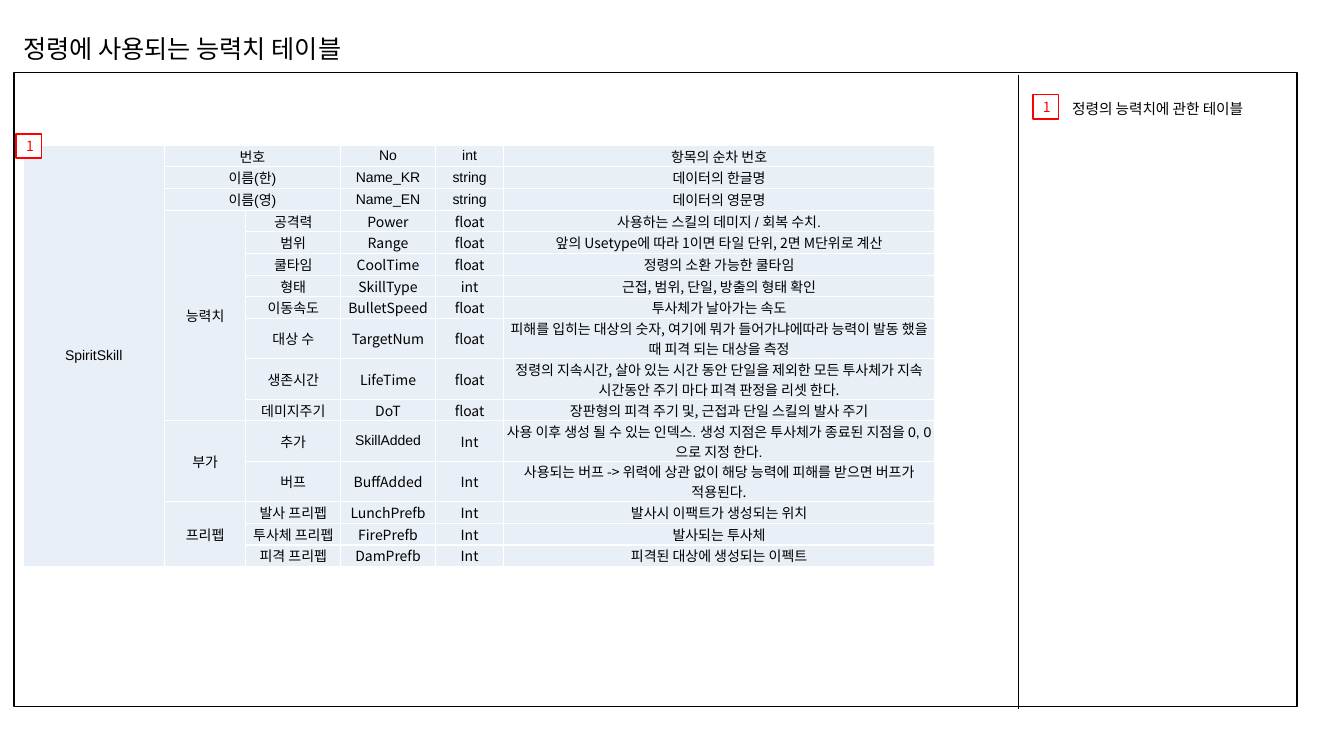
import dataclasses
import pptx
import pptx.dml.color
import pptx.enum.shapes
import pptx.enum.text
import pptx.oxml
import pptx.oxml.ns
import pptx.util
from lxml import etree

PX = 4572  # EMU in one px, 200 px to the inch


@dataclasses.dataclass
class Theme:
    ink: str = "000000"
    paper: str = "FFFFFF"
    accent: str = "FF0000"
    cell: str = "E9EFF7"
    sans: str = "Arial"
    korean: str = "Noto Sans CJK KR"
    title: float = 18
    note: float = 10.5
    body: float = 10
    line: float = 1
    thin: float = 0.75


def rgb(value):
    return pptx.dml.color.RGBColor.from_string(value)


class Deck:
    def __init__(self, theme, width, height):
        self.theme = theme
        self.prs = pptx.Presentation()
        self.prs.slide_width, self.prs.slide_height = width * PX, height * PX
        self.s = self.prs.slides.add_slide(self.prs.slide_layouts[6])

    def run(self, p, text, size, color, font):
        r = p.add_run()
        r.text = text
        r.font.size = pptx.util.Pt(size)
        r.font.color.rgb = rgb(color)
        r.font.name = font
        ea = etree.SubElement(r._r.get_or_add_rPr(), pptx.oxml.ns.qn("a:ea"))
        ea.set("typeface", self.theme.korean)

    def text(self, x, y, w, h, text, size):
        tf = self.s.shapes.add_textbox(x * PX, y * PX, w * PX, h * PX).text_frame
        tf.word_wrap = True
        tf.auto_size = pptx.enum.text.MSO_AUTO_SIZE.SHAPE_TO_FIT_TEXT
        self.run(tf.paragraphs[0], text, size, self.theme.ink, self.theme.korean)

    def box(self, x, y, w, h, color, fill=None):
        sp = self.s.shapes.add_shape(pptx.enum.shapes.MSO_SHAPE.RECTANGLE,
                                     x * PX, y * PX, w * PX, h * PX)
        sp.shadow.inherit = False
        sp.line.color.rgb = rgb(color)
        sp.line.width = pptx.util.Pt(self.theme.line)
        if fill:
            sp.fill.solid()
            sp.fill.fore_color.rgb = rgb(fill)
        else:
            sp.fill.background()
        return sp

    def marker(self, x, y, label):
        sp = self.box(x, y, 50, 48, self.theme.accent, self.theme.paper)
        tf = sp.text_frame
        tf.vertical_anchor = pptx.enum.text.MSO_ANCHOR.MIDDLE
        p = tf.paragraphs[0]
        p.alignment = pptx.enum.text.PP_ALIGN.CENTER
        self.run(p, label, self.theme.body, self.theme.accent, self.theme.korean)

    def line(self, x1, y1, x2, y2):
        c = self.s.shapes.add_connector(pptx.enum.shapes.MSO_CONNECTOR.STRAIGHT,
                                        x1 * PX, y1 * PX, x2 * PX, y2 * PX)
        c.line.color.rgb = rgb(self.theme.ink)
        c.line.width = pptx.util.Pt(self.theme.thin)
        etree.SubElement(c._element.spPr, pptx.oxml.ns.qn("a:effectLst"))

    def style_cell(self, cell):
        cell.margin_left = cell.margin_right = cell.margin_top = cell.margin_bottom = 0
        cell.vertical_anchor = pptx.enum.text.MSO_ANCHOR.MIDDLE
        tcPr = cell._tc.get_or_add_tcPr()
        for side in ("lnL", "lnR", "lnT", "lnB"):
            tcPr.append(pptx.oxml.parse_xml(
                f'<a:{side} {pptx.oxml.ns.nsdecls("a")} w="{int(self.theme.line * 12700)}">'
                f'<a:solidFill><a:srgbClr val="{self.theme.paper}"/></a:solidFill></a:{side}>'))
        cell.fill.solid()
        cell.fill.fore_color.rgb = rgb(self.theme.cell)

    def table(self, x, y, widths, row_height, rows, merges, is_sans):
        frame = self.s.shapes.add_table(len(rows), len(widths), x * PX, y * PX,
                                        sum(widths) * PX, row_height * len(rows) * PX)
        tbl = frame.table
        tbl.first_row = tbl.horz_banding = False
        for col, width in zip(tbl.columns, widths):
            col.width = width * PX
        for i, row in enumerate(rows):
            tbl.rows[i].height = row_height * PX
            for j, text in enumerate(row):
                cell = tbl.cell(i, j)
                self.style_cell(cell)
                p = cell.text_frame.paragraphs[0]
                p.alignment = pptx.enum.text.PP_ALIGN.CENTER
                font = self.theme.sans if is_sans(i, j) else self.theme.korean
                if text:
                    self.run(p, text, self.theme.body, self.theme.ink, font)
                else:
                    p.font.size = pptx.util.Pt(self.theme.body)
        for top, left, bottom, right in merges:
            tbl.cell(top, left).merge(tbl.cell(bottom, right))


# Table content: general fields, then groups of fields
GENERAL = [
    ("번호", "No", "int", "항목의 순차 번호"),
    ("이름(한)", "Name_KR", "string", "데이터의 한글명"),
    ("이름(영)", "Name_EN", "string", "데이터의 영문명"),
]
GROUPS = {
    "능력치": [
        ("공격력", "Power", "float", "사용하는 스킬의 데미지 / 회복 수치."),
        ("범위", "Range", "float", "앞의 Usetype에 따라 1이면 타일 단위, 2면 M단위로 계산"),
        ("쿨타임", "CoolTime", "float", "정령의 소환 가능한 쿨타임"),
        ("형태", "SkillType", "int", "근접, 범위, 단일, 방출의 형태 확인"),
        ("이동속도", "BulletSpeed", "float", "투사체가 날아가는 속도"),
        ("대상 수", "TargetNum", "float",
         "피해를 입히는 대상의 숫자, 여기에 뭐가 들어가냐에따라 능력이 발동 했을 때 피격 되는 대상을 측정"),
        ("생존시간", "LifeTime", "float",
         "정령의 지속시간, 살아 있는 시간 동안 단일을 제외한 모든 투사체가 지속 시간동안 주기 마다 피격 판정을 리셋 한다."),
        ("데미지주기", "DoT", "float", "장판형의 피격 주기 및, 근접과 단일 스킬의 발사 주기"),
    ],
    "부가": [
        ("추가", "SkillAdded", "Int",
         "사용 이후 생성 될 수 있는 인덱스. 생성 지점은 투사체가 종료된 지점을 0, 0으로 지정 한다."),
        ("버프", "BuffAdded", "Int",
         "사용되는 버프 -> 위력에 상관 없이 해당 능력에 피해를 받으면 버프가 적용된다."),
    ],
    "프리펩": [
        ("발사 프리펩", "LunchPrefb", "Int", "발사시 이팩트가 생성되는 위치"),
        ("투사체 프리펩", "FirePrefb", "Int", "발사되는 투사체"),
        ("피격 프리펩", "DamPrefb", "Int", "피격된 대상에 생성되는 이펙트"),
    ],
}
SANS_CELLS = {(3, 1), (3, 2), (3, 5), (11, 1), (11, 3), (11, 5)}


def stat_table():
    rows = [["", name, "", *rest] for name, *rest in GENERAL]
    merges = [(i, 1, i, 2) for i in range(len(rows))]
    for group, fields in GROUPS.items():
        merges.append((len(rows), 1, len(rows) + len(fields) - 1, 1))
        rows += [["", "" if k else group, *field] for k, field in enumerate(fields)]
    rows[0][0] = "SpiritSkill"
    merges.append((0, 0, len(rows) - 1, 0))
    return rows, merges


def main():
    theme = Theme()
    deck = Deck(theme, 2667, 1500)

    # Stat table
    rows, merges = stat_table()
    deck.table(46, 288, [280, 162, 188, 188, 136, 854], 43, rows, merges,
               lambda i, j: i < len(GENERAL) or (i, j) in SANS_CELLS)

    # Title and page frame
    deck.text(26, 56, 984, 80, "정령에 사용되는 능력치 테이블", theme.title)
    deck.box(28, 144, 2546, 1258, theme.ink)
    deck.line(2022, 148, 2022, 1406)

    # Side note and the matching marker on the table
    deck.marker(2050, 188, "1")
    deck.text(2108, 188, 454, 56, "정령의 능력치에 관한 테이블", theme.note)
    deck.marker(32, 266, "1")

    deck.prs.save("out.pptx")


if __name__ == "__main__":
    main()
